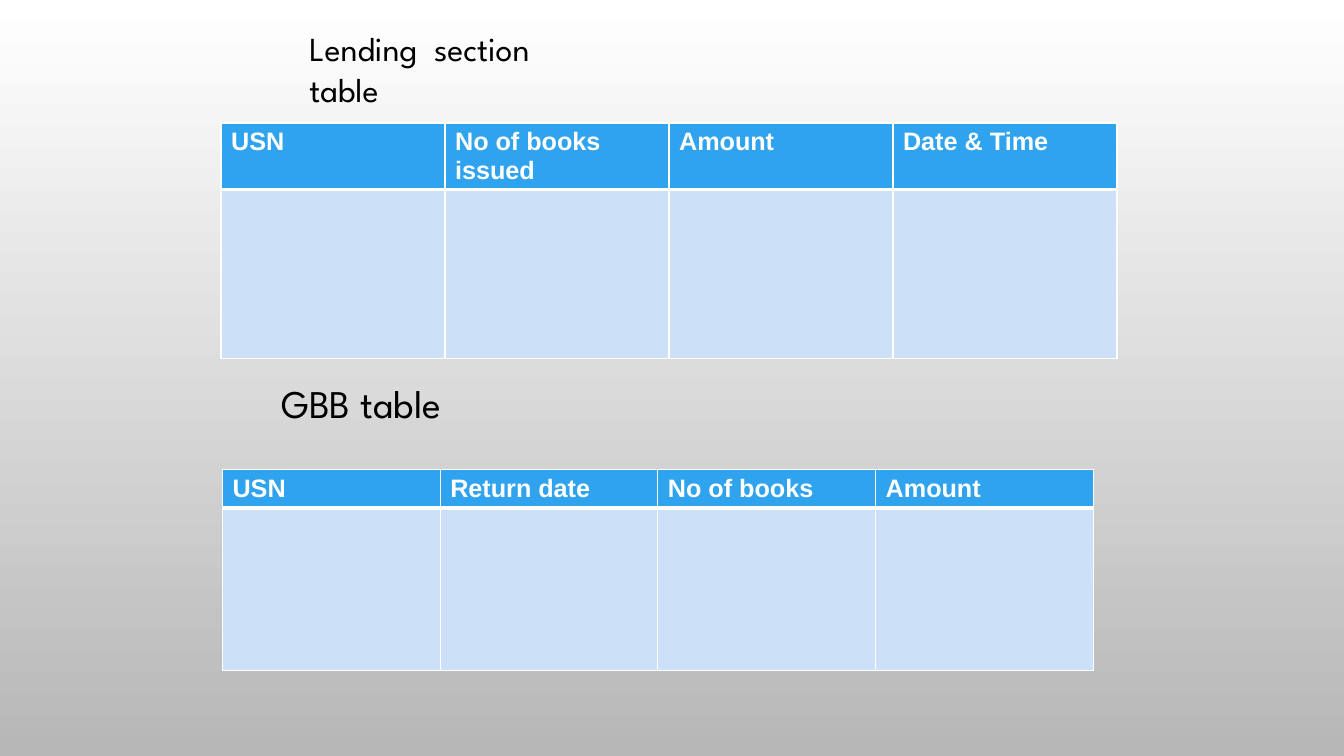
from lxml.etree import SubElement
from pptx import Presentation
from pptx.dml.color import RGBColor
from pptx.oxml.ns import qn
from pptx.util import Pt

WHITE = RGBColor(0xFF, 0xFF, 0xFF)
BLACK = RGBColor(0x00, 0x00, 0x00)
GREY = RGBColor(0xB7, 0xB7, 0xB7)
HEADER_BLUE = RGBColor(0x2F, 0xA3, 0xEE)
BODY_BLUE = RGBColor(0xCC, 0xE0, 0xF8)

THIN, THICK = 1, 3

# text, (left, top, width, height), font size
HEADINGS = [
    ("Lending  section table", (213.84, 16.56, 223.92, 36), 24),
    ("GBB table", (193.68, 267.12, 213.12, 41.04), 28),
]

# column names, (left, top), column width, (header height, body height)
TABLES = [
    (["USN", "No of books issued", "Amount", "Date & Time"],
     (157.9, 87.84), 160, (46.8, 120.96)),
    (["USN", "Return date", "No of books", "Amount"],
     (158.9, 335.52), 155.52, (27, 115.92)),
]


def add_run(paragraph, text, font_name, size, color, bold=False):
    run = paragraph.add_run()
    run.text = text
    font = run.font
    font.name, font.size, font.bold = font_name, Pt(size), bold
    font.color.rgb = color


def style_cell(cell, fill_color, top, bottom):
    """Give the cell white borders and a solid fill; top and bottom are line widths."""
    properties = cell._tc.get_or_add_tcPr()
    for side, width in (("L", THIN), ("R", THIN), ("T", top), ("B", bottom)):
        line = SubElement(properties, qn("a:ln" + side), w=str(Pt(width)))
        line_fill = SubElement(line, qn("a:solidFill"))
        SubElement(line_fill, qn("a:srgbClr"), val=str(WHITE))
    cell.fill.solid()
    cell.fill.fore_color.rgb = fill_color


def add_record_table(slide, names, position, column_width, row_heights):
    left, top = position
    table = slide.shapes.add_table(
        2, len(names), Pt(left), Pt(top),
        Pt(column_width * len(names)), Pt(sum(row_heights))).table
    for row, height in zip(table.rows, row_heights):
        row.height = Pt(height)
    for index, name in enumerate(names):
        table.columns[index].width = Pt(column_width)
        header, body = table.cell(0, index), table.cell(1, index)
        style_cell(header, HEADER_BLUE, THIN, THICK)
        style_cell(body, BODY_BLUE, THICK, THIN)
        add_run(header.text_frame.paragraphs[0], name, "Arial", 18, WHITE, bold=True)


def add_heading(slide, text, box, size):
    frame = slide.shapes.add_textbox(*map(Pt, box)).text_frame
    frame.word_wrap = True
    add_run(frame.paragraphs[0], text, "League Spartan", size, BLACK)


def main():
    presentation = Presentation()
    presentation.slide_width, presentation.slide_height = Pt(960), Pt(540)
    slide = presentation.slides.add_slide(presentation.slide_layouts[6])

    background = slide.background.fill
    background.gradient()
    background.gradient_angle = 270
    for stop, position, color in zip(background.gradient_stops, (0, 1), (WHITE, GREY)):
        stop.position = position
        stop.color.rgb = color

    for record_table in TABLES:
        add_record_table(slide, *record_table)
    for heading in HEADINGS:
        add_heading(slide, *heading)
    presentation.save("out.pptx")


if __name__ == "__main__":
    main()
